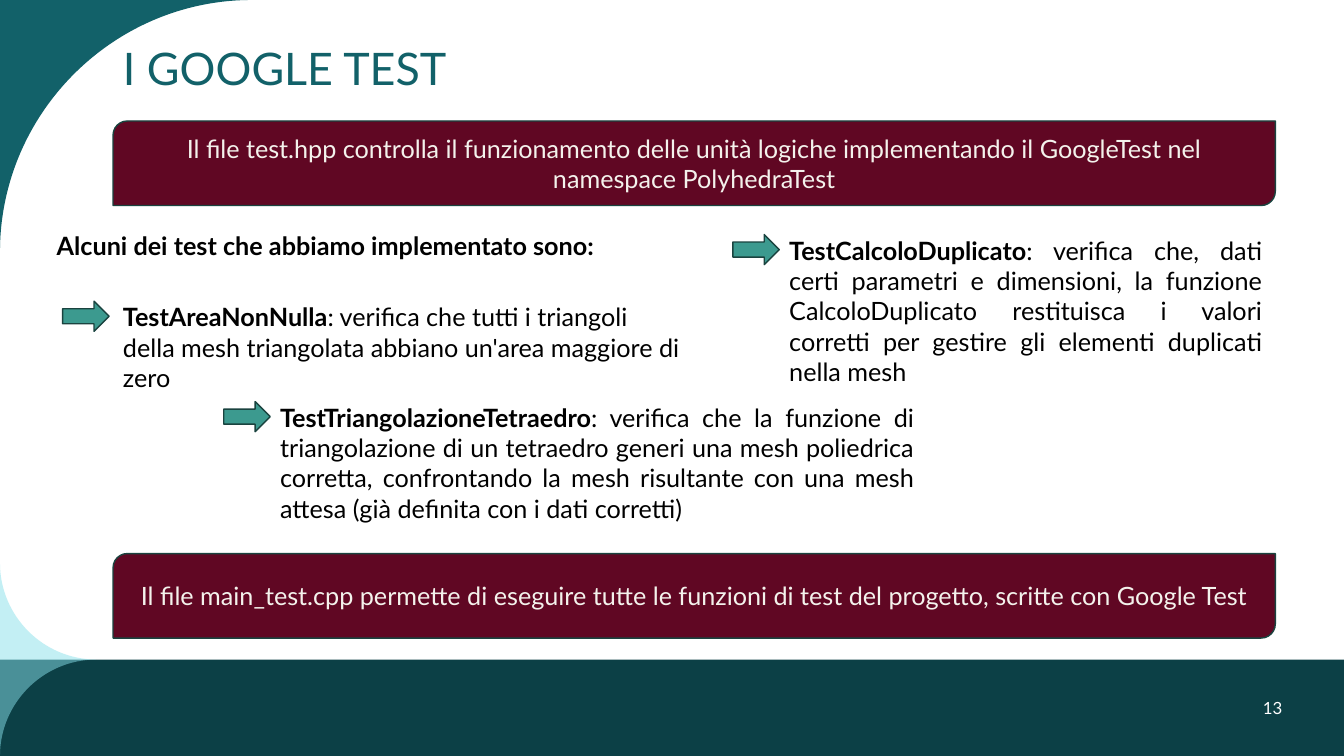
from dataclasses import dataclass

from lxml.etree import SubElement
from pptx import Presentation
from pptx.dml.color import RGBColor
from pptx.enum.shapes import MSO_SHAPE
from pptx.enum.text import MSO_ANCHOR, PP_ALIGN
from pptx.oxml.ns import qn
from pptx.util import Cm, Pt


@dataclass(frozen=True)
class Theme:
    """Colours, font and type sizes of the slide."""
    font: str = "Lato"
    title_size: int = 32
    body_size: int = 18
    number_size: int = 12
    teal: str = "126169"
    footer: str = "0C4046"
    pale: str = "89E1EB"
    banner: str = "600723"
    banner_text: str = "F4F2EC"
    arrow: str = "3C9A8F"
    outline: str = "1A433F"
    black: str = "000000"
    white: str = "FFFFFF"


THEME = Theme()
WIDTH, HEIGHT = 33.87, 19.05
FOOTER_HEIGHT = 2.43
CORNER_RADIUS = 6.35
ARROW_WIDTH, ARROW_HEIGHT = 1.17, 0.76
ARC_PULL = 0.55


def paint(sp, fill, line=None):
    """Give a shape a flat fill and an optional thin outline."""
    sp.shadow.inherit = False
    sp.fill.solid()
    sp.fill.fore_color.rgb = RGBColor.from_string(fill)
    if line:
        sp.line.color.rgb = RGBColor.from_string(line)
        sp.line.width = Pt(1)
    else:
        sp.line.fill.background()


def add_preset(s, preset, box, fill, line=None):
    """Add a painted preset shape in a box given in centimetres."""
    sp = s.shapes.add_shape(preset, *map(Cm, box))
    paint(sp, fill, line)
    return sp


def write(sp, runs, size, color, align=PP_ALIGN.LEFT, anchor=MSO_ANCHOR.TOP):
    """Write one paragraph of (text, bold) runs and return it."""
    tf = sp.text_frame
    tf.word_wrap = True
    tf.vertical_anchor = anchor
    p = tf.paragraphs[0]
    p.alignment = align
    for text, bold in runs:
        r = p.add_run()
        r.text = text
        r.font.name = THEME.font
        r.font.size = Pt(size)
        r.font.bold = bold
        r.font.color.rgb = RGBColor.from_string(color)
    return p


def add_text(s, box, runs, size, color, **layout):
    """Add a text box in a box given in centimetres."""
    return write(s.shapes.add_textbox(*map(Cm, box)), runs, size, color, **layout)


def quarter(start, corner, end):
    """Return the Bezier points of a quarter circle that bends towards a corner."""
    pulls = [tuple(a + (c - a) * ARC_PULL for a, c in zip(point, corner))
             for point in (start, end)]
    return [*pulls, end]


def add_curved(s, lines, curves, fill):
    """Add a freeform of straight points followed by Bezier triples."""
    first, *rest = [(Cm(x), Cm(y)) for x, y in lines + curves]
    builder = s.shapes.build_freeform(*first)
    builder.add_line_segments(rest, close=True)
    sp = builder.convert_to_shape()
    segments = list(sp._element.iter(qn("a:lnTo")))[len(lines) - 1:]
    for i in range(0, len(segments), 3):
        curve = segments[i].makeelement(qn("a:cubicBezTo"))
        segments[i].addprevious(curve)
        for segment in segments[i:i + 3]:
            curve.append(segment[0])
            segment.getparent().remove(segment)
    paint(sp, fill)
    return sp


def add_backdrop(s, width, height):
    """Draw the footer band and the curved corners."""
    r, top = FOOTER_HEIGHT, height - FOOTER_HEIGHT
    add_preset(s, MSO_SHAPE.RECTANGLE, (0, top, width, r), THEME.footer)
    right, below = (CORNER_RADIUS, 0), (0, CORNER_RADIUS)
    add_curved(s, [(0, 0), right], quarter(right, (0, 0), below), THEME.teal)
    upper, tip, lower = (0, top - r), (r, top), (0, height)
    cusp = quarter(upper, (0, top), tip) + quarter(tip, (0, top), lower)
    sp = add_curved(s, [upper], cusp, THEME.pale)
    color = sp._element.spPr.find(".//" + qn("a:srgbClr"))
    SubElement(color, qn("a:alpha"), val="50000")


def add_title(s, box, text):
    """Write the slide title."""
    p = add_text(s, box, [(text, False)], THEME.title_size, THEME.teal,
                 anchor=MSO_ANCHOR.MIDDLE)
    p.line_spacing = 0.9


def add_banner(s, box, text):
    """Draw a dark red banner with a centred statement."""
    sp = add_preset(s, MSO_SHAPE.ROUND_2_DIAG_RECTANGLE, box, THEME.banner, THEME.outline)
    write(sp, [(text, False)], THEME.body_size, THEME.banner_text,
          align=PP_ALIGN.CENTER, anchor=MSO_ANCHOR.MIDDLE)


def add_test(s, box, name, description, align=PP_ALIGN.JUSTIFY, gap=0):
    """Draw an arrow followed by a test name and its description."""
    left, top, width, height = box
    indent = ARROW_WIDTH + gap
    add_text(s, (left + indent, top, width - indent, height),
             [(name, True), (": " + description, False)],
             THEME.body_size, THEME.black, align=align)
    add_preset(s, MSO_SHAPE.RIGHT_ARROW, (left, top + 0.11, ARROW_WIDTH, ARROW_HEIGHT),
               THEME.arrow, THEME.outline)


def add_tests(s):
    """Place the introduction and the three tests."""
    add_text(s, (1.18, 5.69, 14.6, 1.8),
             [("Alcuni dei test che abbiamo implementato sono:", True)],
             THEME.body_size, THEME.black)
    add_test(s, (5.64, 10.01, 17.65, 3.4), "TestTriangolazioneTetraedro",
             "verifica che la funzione di triangolazione di un tetraedro generi una "
             "mesh poliedrica corretta, confrontando la mesh risultante con una mesh "
             "attesa (già definita con i dati corretti)")
    add_test(s, (1.58, 7.48, 15.9, 1.8), "TestAreaNonNulla",
             "verifica che tutti i triangoli della mesh triangolata abbiano "
             "un'area maggiore di zero", align=PP_ALIGN.LEFT, gap=0.1)
    add_test(s, (18.47, 5.8, 13.59, 3.33), "TestCalcoloDuplicato",
             "verifica che, dati certi parametri e dimensioni, la funzione "
             "CalcoloDuplicato restituisca i valori corretti per gestire gli "
             "elementi duplicati nella mesh")


def main():
    """Build the slide and save it."""
    prs = Presentation()
    prs.slide_width, prs.slide_height = Cm(WIDTH), Cm(HEIGHT)
    s = prs.slides.add_slide(prs.slide_layouts[6])
    add_backdrop(s, WIDTH, HEIGHT)
    add_title(s, (2.85, 0, 26.67, 3.58), "I GOOGLE TEST")
    add_text(s, (30.27, HEIGHT - FOOTER_HEIGHT, 3.6, FOOTER_HEIGHT), [("13", False)],
             THEME.number_size, THEME.white, align=PP_ALIGN.CENTER,
             anchor=MSO_ANCHOR.MIDDLE)
    add_banner(s, (2.85, 3.05, 29.29, 2.13),
               "Il file test.hpp controlla il funzionamento delle unità logiche "
               "implementando il GoogleTest nel namespace PolyhedraTest")
    add_banner(s, (2.85, 13.95, 29.29, 2.13),
               "Il file main_test.cpp permette di eseguire tutte le funzioni di test "
               "del progetto, scritte con Google Test")
    add_tests(s)
    prs.save("out.pptx")


if __name__ == "__main__":
    main()
